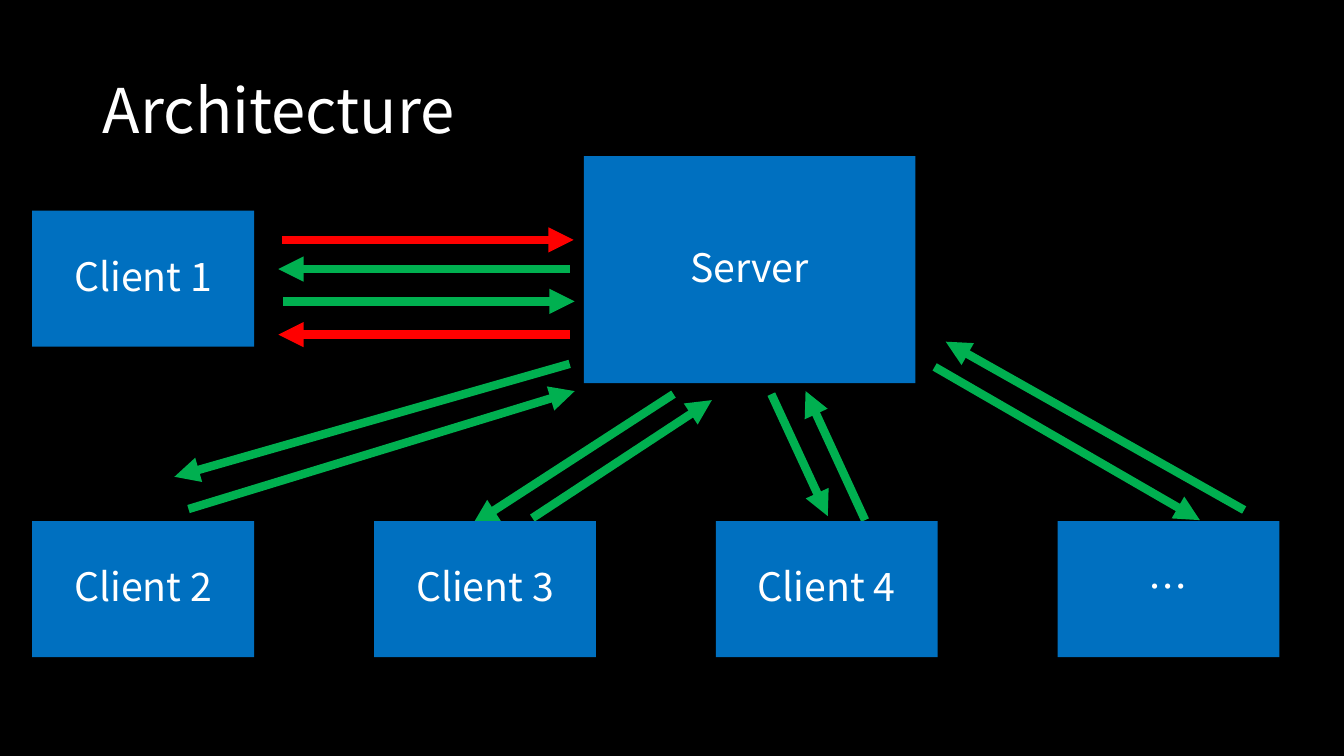
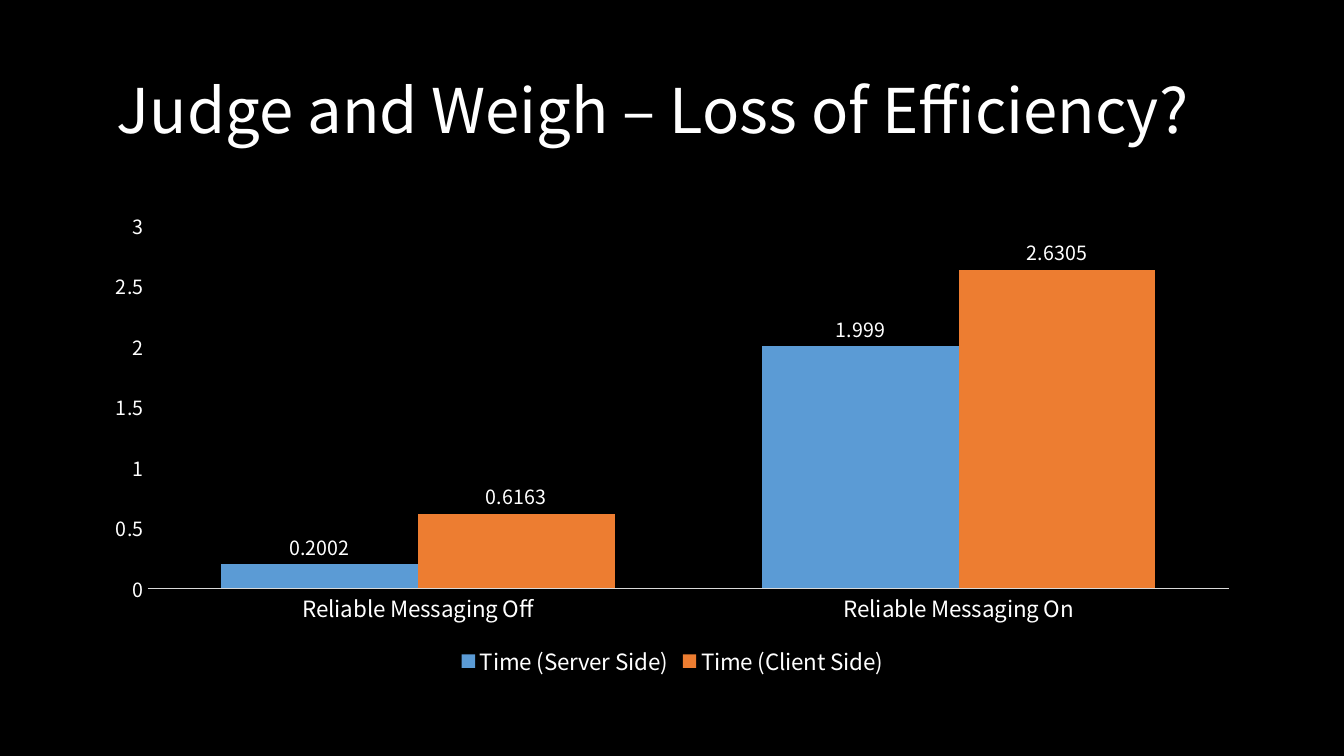
from lxml.etree import SubElement
from pptx import Presentation
from pptx.chart.data import CategoryChartData
from pptx.dml.color import RGBColor
from pptx.enum.chart import XL_CHART_TYPE, XL_LABEL_POSITION, XL_LEGEND_POSITION, XL_TICK_MARK
from pptx.enum.shapes import MSO_CONNECTOR, MSO_SHAPE
from pptx.enum.text import MSO_ANCHOR, PP_ALIGN
from pptx.oxml.ns import qn
from pptx.util import Inches, Pt

BLACK = RGBColor(0x00, 0x00, 0x00)
WHITE = RGBColor(0xFF, 0xFF, 0xFF)
BLUE = RGBColor(0x00, 0x70, 0xC0)
RED = RGBColor(0xFF, 0x00, 0x00)
GREEN = RGBColor(0x00, 0xB0, 0x50)
GRAY = RGBColor(0xD9, 0xD9, 0xD9)
SKY = RGBColor(0x5B, 0x9B, 0xD5)
ORANGE = RGBColor(0xED, 0x7D, 0x31)
FONT = "Noto Sans CJK SC"

CLIENT_SIZE = (2.2, 1.35)
ROW_LEFT, ROW_TOP, ROW_STEP = 0.32, 5.17, 3.39
ROW = ["Client 2", "Client 3", "Client 4", "…"]
BOXES = [
    ("Client 1", ROW_LEFT, 2.09, *CLIENT_SIZE),
    ("Server", 5.79, 1.55, 3.29, 2.25),
] + [(name, ROW_LEFT + i * ROW_STEP, ROW_TOP, *CLIENT_SIZE) for i, name in enumerate(ROW)]

ARROWS = [
    (RED, (5.65, 3.32), (2.76, 3.32)),
    (RED, (2.8, 2.38), (5.69, 2.38)),
    (GREEN, (5.65, 2.67), (2.76, 2.67)),
    (GREEN, (2.81, 2.99), (5.7, 2.99)),
    (GREEN, (5.65, 3.61), (1.73, 4.73)),
    (GREEN, (1.87, 5.05), (5.7, 3.88)),
    (GREEN, (6.68, 3.91), (4.69, 5.2)),
    (GREEN, (5.28, 5.14), (7.06, 3.97)),
    (GREEN, (7.65, 3.91), (8.21, 5.12)),
    (GREEN, (8.58, 5.16), (7.99, 3.88)),
    (GREEN, (9.27, 3.64), (11.9, 5.16)),
    (GREEN, (12.34, 5.06), (9.38, 3.39)),
]

GROUPS = ["Reliable Messaging Off", "Reliable Messaging On"]
SERIES = [
    ("Time (Server Side)", SKY, (0.2002, 1.999)),
    ("Time (Client Side)", ORANGE, (0.6163, 2.6305)),
]


def style(font, size, color=WHITE):
    font.name, font.size, font.bold = FONT, Pt(size), False
    font.color.rgb = color


def write(shape, text, size=28, align=PP_ALIGN.CENTER, left=0.1):
    frame = shape.text_frame
    frame.word_wrap = True
    frame.vertical_anchor = MSO_ANCHOR.MIDDLE
    frame.margin_left = Inches(left)
    para = frame.paragraphs[0]
    para.alignment, para.line_spacing = align, 0.9
    run = para.add_run()
    run.text = text
    style(run.font, size)
    SubElement(run._r.get_or_add_rPr(), qn("a:ea"), typeface=FONT)


def add_slide(deck, title, left=0.1):
    slide = deck.slides.add_slide(deck.slide_layouts[5])
    head = slide.shapes.title
    head.left, head.top, head.width, head.height = map(Inches, (0.92, 0.4, 11.5, 1.45))
    write(head, title, size=44, align=PP_ALIGN.LEFT, left=left)
    return slide


def add_box(slide, text, *place):
    box = slide.shapes.add_shape(MSO_SHAPE.RECTANGLE, *map(Inches, place))
    box.shadow.inherit = False
    box.fill.solid()
    box.fill.fore_color.rgb = BLUE
    box.line.fill.background()
    write(box, text)


def add_arrow(slide, color, start, end):
    arrow = slide.shapes.add_connector(MSO_CONNECTOR.STRAIGHT, *map(Inches, start + end))
    arrow.line.color.rgb = color
    arrow.line.width = Pt(6)
    SubElement(arrow.line._get_or_add_ln(), qn("a:tailEnd"), type="triangle")
    SubElement(arrow.element.spPr, qn("a:effectLst"))


def add_bars(slide):
    data = CategoryChartData()
    data.categories = GROUPS
    for name, _, values in SERIES:
        data.add_series(name, values)
    place = map(Inches, (0.92, 2, 11.5, 4.76))
    chart = slide.shapes.add_chart(XL_CHART_TYPE.COLUMN_CLUSTERED, *place, data).chart
    style(chart.font, 10)
    chart.has_title = False
    chart.has_legend = True
    chart.legend.position = XL_LEGEND_POSITION.BOTTOM
    chart.legend.include_in_layout = False
    style(chart.legend.font, 16)

    for axis, size in ((chart.category_axis, 16), (chart.value_axis, 14)):
        axis.has_major_gridlines = False
        axis.major_tick_mark = axis.minor_tick_mark = XL_TICK_MARK.NONE
        style(axis.tick_labels.font, size)
    line = chart.category_axis.format.line
    line.color.rgb, line.width = GRAY, Pt(0.75)
    scale = chart.value_axis
    scale.format.line.fill.background()
    scale.minimum_scale, scale.maximum_scale, scale.major_unit = 0, 3, 0.5

    plot = chart.plots[0]
    plot.gap_width, plot.overlap, plot.vary_by_categories = 75, 0, False
    for bars, (_, color, _) in zip(plot.series, SERIES):
        bars.format.fill.solid()
        bars.format.fill.fore_color.rgb = color
        labels = bars.data_labels
        labels.show_value = True
        labels.position = XL_LABEL_POSITION.OUTSIDE_END
        style(labels.font, 14)


def main():
    deck = Presentation()
    deck.slide_width, deck.slide_height = Inches(13.33), Inches(7.5)
    back = deck.slide_master.background.fill
    back.solid()
    back.fore_color.rgb = BLACK

    slide = add_slide(deck, "Architecture")
    for arrow in ARROWS:
        add_arrow(slide, *arrow)
    for box in BOXES:
        add_box(slide, *box)

    add_bars(add_slide(deck, "Judge and Weigh – Loss of Efficiency?", left=0.24))
    deck.save("out.pptx")


if __name__ == "__main__":
    main()
